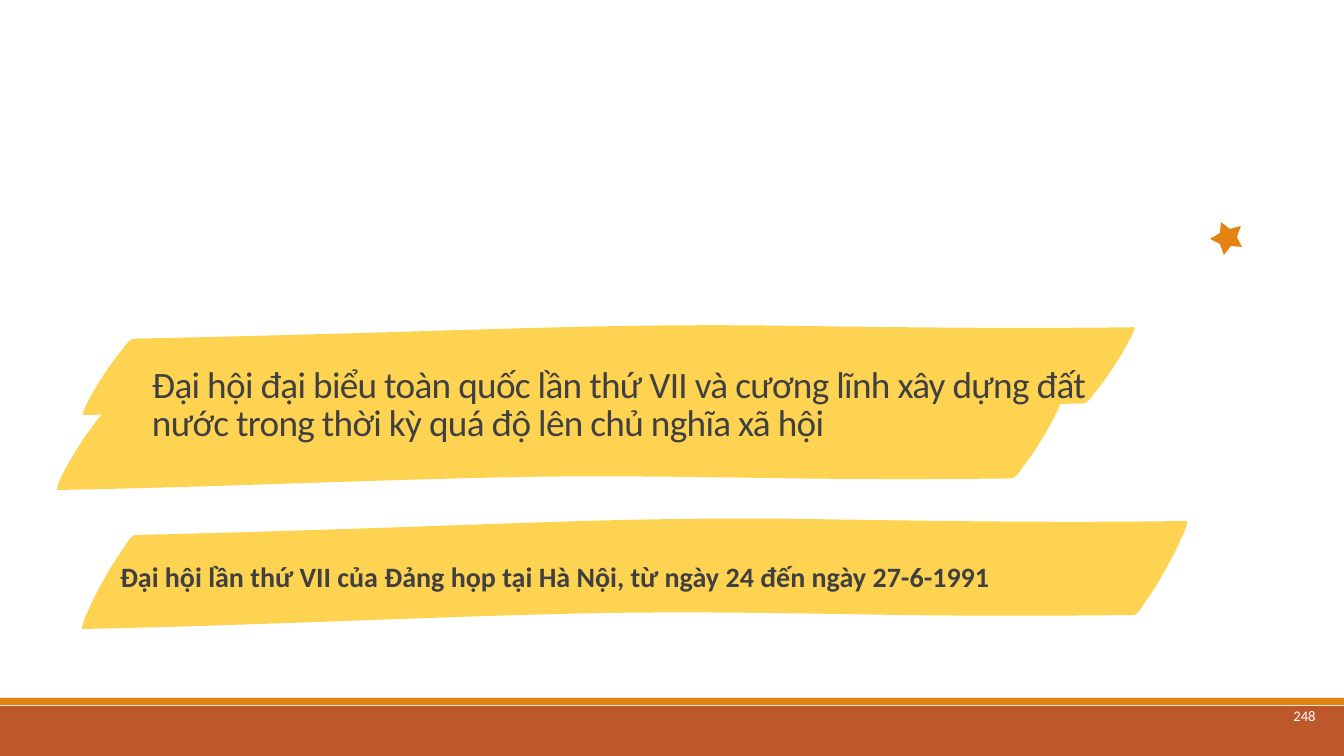
"""Build the title slide on the Seventh Party Congress with brush-stroke banners."""
from lxml.etree import SubElement
from pptx import Presentation
from pptx.dml.color import RGBColor
from pptx.enum.shapes import MSO_SHAPE
from pptx.enum.text import MSO_ANCHOR, PP_ALIGN
from pptx.oxml.ns import qn
from pptx.util import Emu, Pt

PAGE_SIZE = (1344, 756)
EMU_PER_PX = 914400 / 100.8
INSET = 13

THEME = {
    "font": "Calibri",
    "rust": RGBColor.from_string("BD582C"),
    "orange": RGBColor.from_string("E48312"),
    "yellow": RGBColor.from_string("FFD352"),
    "ink": RGBColor.from_string("404040"),
    "white": RGBColor.from_string("FFFFFF"),
    "title_size": Pt(26.6),
    "subtitle_size": Pt(20),
    "number_size": Pt(10.5),
}

FOOTER_BARS = [
    ((0, 706, 1344, 50), "rust"),
    ((0, 698, 1344, 7), "orange"),
]

BRUSH_BOXES = [(81, 517, 1108, 112), (82, 324, 1054, 91), (56, 398, 1006, 92)]
BRUSH_SIZE = (1099, 112)
BRUSH_START = (1, 112)
BRUSH_CURVES = [
    ((0, 112), (5, 97), (6, 96)),
    ((11, 84), (17, 73), (23, 62)),
    ((29, 51), (36, 40), (43, 30)),
    ((44, 28), (50, 18), (54, 18)),
    ((144, 16), (234, 13), (324, 10)),
    ((464, 5), (586, 0), (718, 2)),
    ((844, 4), (970, 6), (1097, 4)),
    ((1099, 4), (1093, 19), (1092, 20)),
    ((1087, 32), (1081, 43), (1075, 54)),
    ((1069, 65), (1062, 76), (1055, 86)),
    ((1054, 88), (1048, 98), (1044, 98)),
    ((966, 99), (888, 99), (809, 98)),
    ((689, 96), (586, 94), (475, 97)),
    ((317, 101), (159, 109), (1, 112)),
]

STAR_POINTS = [
    (1241, 226), (1230, 229), (1221, 222), (1220, 233), (1210, 239),
    (1220, 244), (1224, 255), (1231, 246), (1242, 247), (1237, 237),
]

TEXTS = [
    {
        "box": (1265, 675, 79, 82),
        "text": "248",
        "anchor": MSO_ANCHOR.MIDDLE,
        "paragraph": {"alignment": PP_ALIGN.CENTER},
        "font": {"size": THEME["number_size"]},
        "color": "white",
    },
    {
        "box": (139, 286, 973, 171),
        "text": "Đại hội đại biểu toàn quốc lần thứ VII và cương lĩnh xây dựng đất "
                "nước trong thời kỳ quá độ lên chủ nghĩa xã hội",
        "anchor": MSO_ANCHOR.BOTTOM,
        "paragraph": {"line_spacing": 0.85},
        "font": {"size": THEME["title_size"]},
        "color": "ink",
        "tracking": -50,
    },
    {
        "box": (107, 550, 1037, 115),
        "text": "Đại hội lần thứ VII của Đảng họp tại Hà Nội, từ ngày 24 đến ngày 27-6-1991",
        "anchor": MSO_ANCHOR.TOP,
        "paragraph": {"line_spacing": 0.9},
        "font": {"size": THEME["subtitle_size"], "bold": True},
        "color": "ink",
    },
]


def px(length):
    """Turn a length in px into EMU."""
    return Emu(round(length * EMU_PER_PX))


def set_all(target, values):
    """Set every attribute named in values."""
    for name, value in values.items():
        setattr(target, name, value)


def paint(shape, color):
    """Give a shape a flat fill without line or shadow."""
    shape.shadow.inherit = False
    shape.fill.solid()
    shape.fill.fore_color.rgb = THEME[color]
    shape.line.fill.background()


def add_bar(page, box, color):
    """Add a plain rectangle."""
    paint(page.shapes.add_shape(MSO_SHAPE.RECTANGLE, *map(px, box)), color)


def add_outline(page, points, color):
    """Add a closed filled outline through points given in px."""
    corners = [(px(x), px(y)) for x, y in points]
    builder = page.shapes.build_freeform(*corners[0], scale=1.0)
    builder.add_line_segments(corners[1:], close=True)
    shape = builder.convert_to_shape()
    paint(shape, color)
    return shape


def bend(shape):
    """Turn each three straight segments of an outline into one cubic curve."""
    segments = list(shape._element.iter(qn("a:lnTo")))
    for start in range(0, len(segments), 3):
        first, *others = segments[start:start + 3]
        curve = SubElement(first.getparent(), qn("a:cubicBezTo"))
        first.addprevious(curve)
        for segment in (first, *others):
            curve.append(segment[0])
            segment.getparent().remove(segment)


def add_brush(page, box):
    """Fit the brush stroke into a box."""
    left, top, width, height = box
    across, down = width / BRUSH_SIZE[0], height / BRUSH_SIZE[1]
    controls = [BRUSH_START] + [point for curve in BRUSH_CURVES for point in curve]
    points = [(left + x * across, top + y * down) for x, y in controls]
    bend(add_outline(page, points, "yellow"))


def add_text(page, item):
    """Add one text box with a single formatted paragraph."""
    frame = page.shapes.add_textbox(*map(px, item["box"])).text_frame
    set_all(frame, {"word_wrap": True, "vertical_anchor": item["anchor"]})
    set_all(frame, {f"margin_{side}": px(INSET) for side in ("left", "top", "right", "bottom")})
    para = frame.paragraphs[0]
    set_all(para, item["paragraph"])
    span = para.add_run()
    span.text = item["text"]
    set_all(span.font, {"name": THEME["font"], **item["font"]})
    span.font.color.rgb = THEME[item["color"]]
    if "tracking" in item:
        span.font._element.set("spc", str(item["tracking"]))


def main():
    """Compose the slide and save the deck."""
    deck = Presentation()
    deck.slide_width, deck.slide_height = map(px, PAGE_SIZE)
    page = deck.slides.add_slide(deck.slide_layouts[6])
    for box, color in FOOTER_BARS:
        add_bar(page, box, color)
    for box in BRUSH_BOXES:
        add_brush(page, box)
    for item in TEXTS:
        add_text(page, item)
    add_outline(page, STAR_POINTS, "orange")
    deck.save("out.pptx")


if __name__ == "__main__":
    main()
